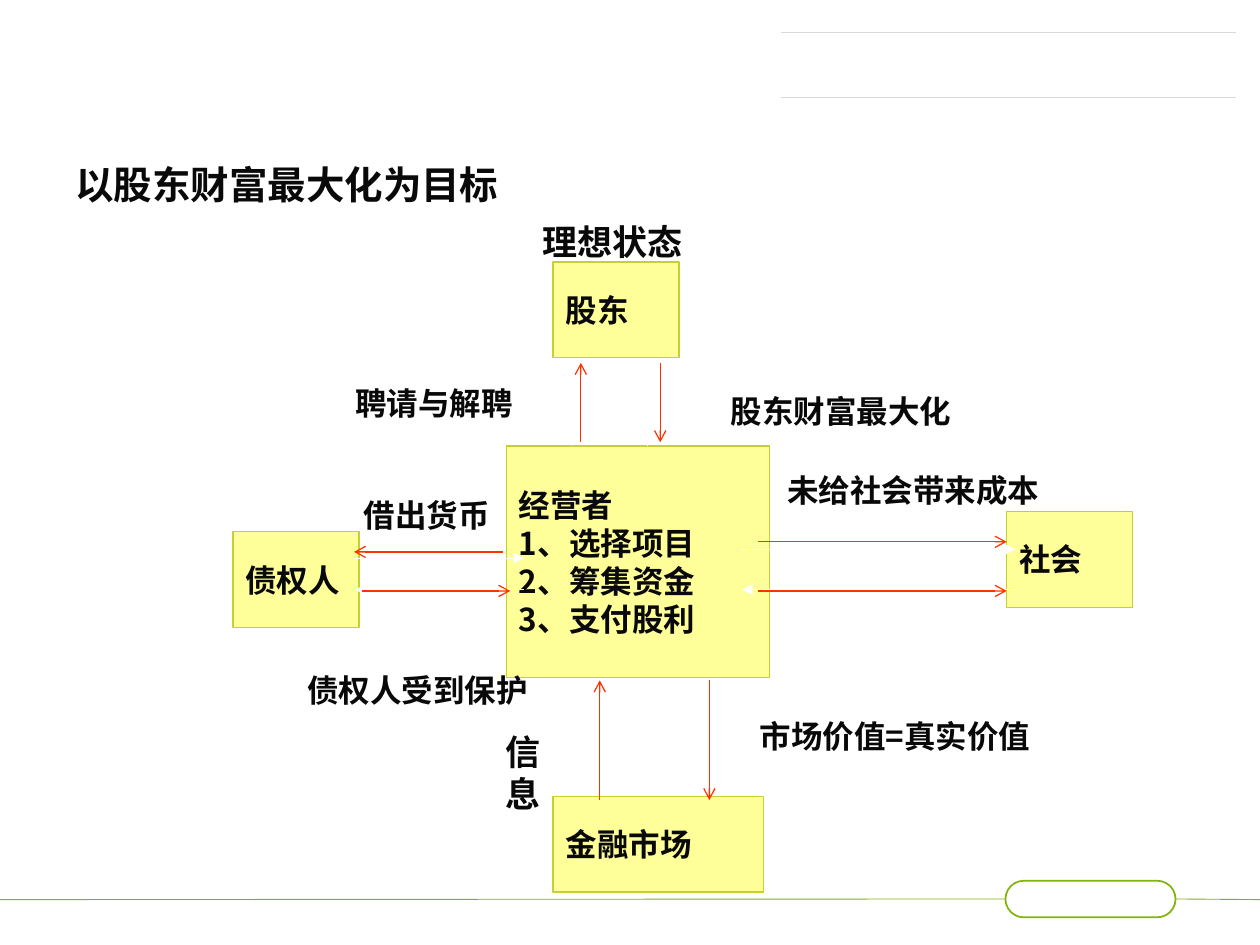
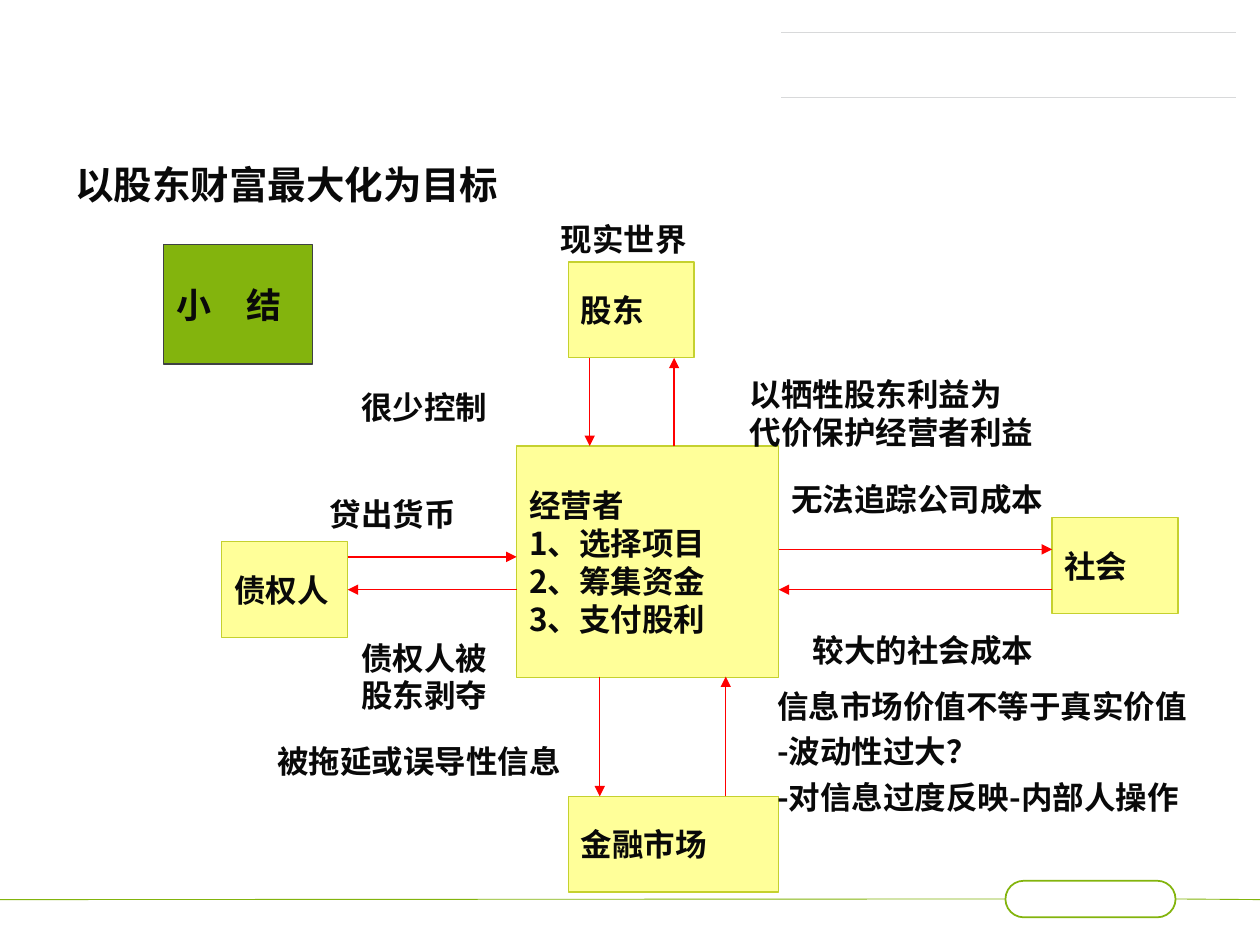
"""Build two slides on shareholder wealth: the ideal state and the real world."""
from lxml import etree
from pptx import Presentation
from pptx.dml.color import RGBColor
from pptx.enum import shapes, text
from pptx.oxml.ns import qn
from pptx.util import Inches, Pt

HUE = {"ink": "090909", "box": "FFFF99", "edge": "C5D12F", "green": "83B40D",
       "dark": "3F4143", "rule": "D8D9DA", "white": "FFFFFF",
       "orange": "FF3300", "red": "FF0000"}
ROMAN, SANS = "Times New Roman", "Noto Sans CJK SC"
INSET = {"margin_left": Inches(0.1), "margin_right": Inches(0.1),
         "margin_top": Inches(0.05), "margin_bottom": Inches(0.05)}
BOX = INSET | {"word_wrap": False, "vertical_anchor": text.MSO_ANCHOR.MIDDLE}
LABEL = INSET | {"word_wrap": False, "vertical_anchor": text.MSO_ANCHOR.TOP,
                 "auto_size": text.MSO_AUTO_SIZE.SHAPE_TO_FIT_TEXT}
TITLE = INSET | {"word_wrap": True, "vertical_anchor": text.MSO_ANCHOR.BOTTOM,
                 "auto_size": text.MSO_AUTO_SIZE.NONE}
GOAL = "以股东财富最大化为目标"
TASKS = "经营者\n1、选择项目\n2、筹集资金\n3、支付股利"


def write(shape, words, form, face=ROMAN, size=18, para=None):
    """Fill a shape with bold left-aligned text."""
    frame = shape.text_frame
    frame.text = words
    for key, value in form.items():
        setattr(frame, key, value)
    for line in frame.paragraphs:
        for key, value in ({"alignment": text.PP_ALIGN.LEFT} | (para or {})).items():
            setattr(line, key, value)
        for run in line.runs:
            for key, value in {"name": face, "size": Pt(size), "bold": True}.items():
                setattr(run.font, key, value)
            run.font.color.rgb = RGBColor.from_string(HUE["ink"])
            etree.SubElement(run.font._element, qn("a:ea"), typeface=SANS)


def draw(slide, ends, hue, width=0.75, tip=None):
    """Draw a straight line, with an arrowhead at its end if tip is given."""
    line = slide.shapes.add_connector(shapes.MSO_CONNECTOR.STRAIGHT,
                                      *[Inches(n) for n in ends])
    line.line.color.rgb = RGBColor.from_string(HUE[hue])
    line.line.width = Pt(width)
    if tip:
        etree.SubElement(line.line._get_or_add_ln(), qn("a:tailEnd"), type=tip)
    etree.SubElement(line._element.spPr, qn("a:effectLst"))
    return line


SLIDES = [
    {"boxes": {"owner": ("股东", 4.39, 2.08, 1, 0.76),
               "market": ("金融市场", 4.39, 6.32, 1.67, 0.76),
               "lender": ("债权人", 1.85, 4.22, 1, 0.76),
               "boss": (TASKS, 4.02, 3.54, 2.09, 1.84),
               "public": ("社会", 7.99, 4.06, 1, 0.76)},
     "arrows": [
         ("white", "triangle", [
             (4.54, 2.84, 4.54, 3.54), (5.14, 3.54, 5.14, 2.84),
             (5.89, 4.36, 8.06, 4.36), (8.06, 4.68, 5.89, 4.68),
             (2.82, 4.43, 4.16, 4.43), (4.16, 4.68, 2.82, 4.68),
             (4.62, 5.38, 4.62, 6.32), (5.51, 6.32, 5.51, 5.38)]),
         ("orange", "arrow", [
             (4.76, 6.35, 4.76, 5.4), (5.63, 5.4, 5.63, 6.35),
             (6.02, 4.3, 7.99, 4.3), (6.02, 4.69, 7.99, 4.69),
             (4.61, 3.51, 4.61, 2.88), (5.24, 2.88, 5.24, 3.51),
             (3.99, 4.38, 2.81, 4.38), (2.87, 4.69, 4.05, 4.69)])],
     "labels": [("　理想状态", 3.93, 1.7, 1.62, 0.44, ROMAN, 20),
                ("聘请与解聘", 2.72, 3, 1.45, 0.4),
                ("股东财富最大化", 5.7, 3.06, 1.95, 0.4),
                ("未给社会带来成本", 6.15, 3.69, 2.2, 0.4),
                ("借出货币", 2.79, 3.89, 1.2, 0.4),
                ("债权人受到保护", 2.34, 5.28, 1.95, 0.4),
                ("信息", 3.91, 5.75, 0.75, 0.44, ROMAN, 20),
                ("市场价值=真实价值", 5.93, 5.64, 2.47, 0.4, SANS)]},
    {"boxes": {"recap": ("小　结", 1.3, 1.94, 1.18, 0.95),
               "owner": ("股东", 4.51, 2.08, 1, 0.76),
               "market": ("金融市场", 4.51, 6.32, 1.67, 0.76),
               "lender": ("债权人", 1.76, 4.3, 1, 0.76),
               "boss": (TASKS, 4.1, 3.54, 2.08, 1.84),
               "public": ("社会", 8.35, 4.11, 1, 0.76)},
     "arrows": [
         ("red", "triangle", [
             (4.68, 2.84, 4.68, 3.54), (5.35, 3.54, 5.35, 2.84),
             (6.18, 4.36, 8.35, 4.36), (8.35, 4.68, 6.18, 4.68),
             (2.76, 4.42, 4.1, 4.42), (4.1, 4.68, 2.76, 4.68, "lender", 3),
             (4.76, 5.37, 4.76, 6.32), (5.76, 6.32, 5.76, 5.37)])],
     "labels": [("很少控制", 2.77, 3.03, 1.2, 0.4),
                ("现实世界", 4.35, 1.7, 1.31, 0.4),
                ("以牺牲股东利益为\n代价保护经营者利益", 5.85, 2.93, 2.45, 0.7),
                ("贷出货币", 2.52, 3.88, 1.2, 0.4),
                ("债权人被\n股东剥夺", 2.77, 5.02, 1.2, 0.7),
                ("无法追踪公司成本", 6.18, 3.76, 2.2, 0.4),
                ("较大的社会成本", 6.35, 4.96, 1.95, 0.4),
                ("被拖延或误导性信息", 2.1, 5.84, 2.45, 0.4),
                ("信息市场价值不等于真实价值\n-波动性过大？\n-对信息过度反映-内部人操作",
                 6.07, 5.4, 3.68, 1.13, SANS, 18, {"space_before": Pt(4.5)})]},
]

deck = Presentation()
deck.slide_width, deck.slide_height = Inches(10), Inches(7.5)

for plan in SLIDES:
    slide = deck.slides.add_slide(deck.slide_layouts[5])

    pill = slide.shapes.add_shape(shapes.MSO_SHAPE.ROUNDED_RECTANGLE,
                                  *[Inches(n) for n in (7.98, 6.99, 1.35, 0.29)])
    pill.adjustments[0] = 0.5
    pill.shadow.inherit = False
    pill.fill.background()
    pill.line.color.rgb = RGBColor.from_string(HUE["green"])
    pill.line.width = Pt(1)
    for y in (0.26, 0.77):
        draw(slide, (6.2, y, 9.81, y), "rule", 0.5)
    draw(slide, (0, 7.14, 7.98, 7.14), "green", 0.5).end_connect(pill, 1)
    draw(slide, (9.33, 7.14, 10, 7.14), "green", 0.5).begin_connect(pill, 3)

    title = slide.shapes.title
    for key, value in {"left": 0.5, "top": 0.36, "width": 8.25, "height": 1.34}.items():
        setattr(title, key, Inches(value))
    write(title, GOAL, TITLE, "Arial", 22, {"line_spacing": 0.9})

    nodes = {}
    for name, (words, *area) in plan["boxes"].items():
        node = slide.shapes.add_shape(shapes.MSO_SHAPE.RECTANGLE,
                                      *[Inches(n) for n in area])
        fill, edge = ("green", "dark") if name == "recap" else ("box", "edge")
        node.shadow.inherit = False
        node.fill.solid()
        node.fill.fore_color.rgb = RGBColor.from_string(HUE[fill])
        node.line.color.rgb = RGBColor.from_string(HUE[edge])
        node.line.width = Pt(0.75)
        face, size = {"boss": (SANS, 18), "recap": ("Lato", 20)}.get(name, (ROMAN, 18))
        write(node, words, BOX, face, size)
        nodes[name] = node

    for hue, tip, routes in plan["arrows"]:
        for route in routes:
            arrow = draw(slide, route[:4], hue, tip=tip)
            if len(route) > 4:
                arrow.end_connect(nodes[route[4]], route[5])

    for words, x, y, w, h, *style in plan["labels"]:
        label = slide.shapes.add_textbox(Inches(x), Inches(y), Inches(w), Inches(h))
        write(label, words, LABEL, *style)

deck.save("out.pptx")
